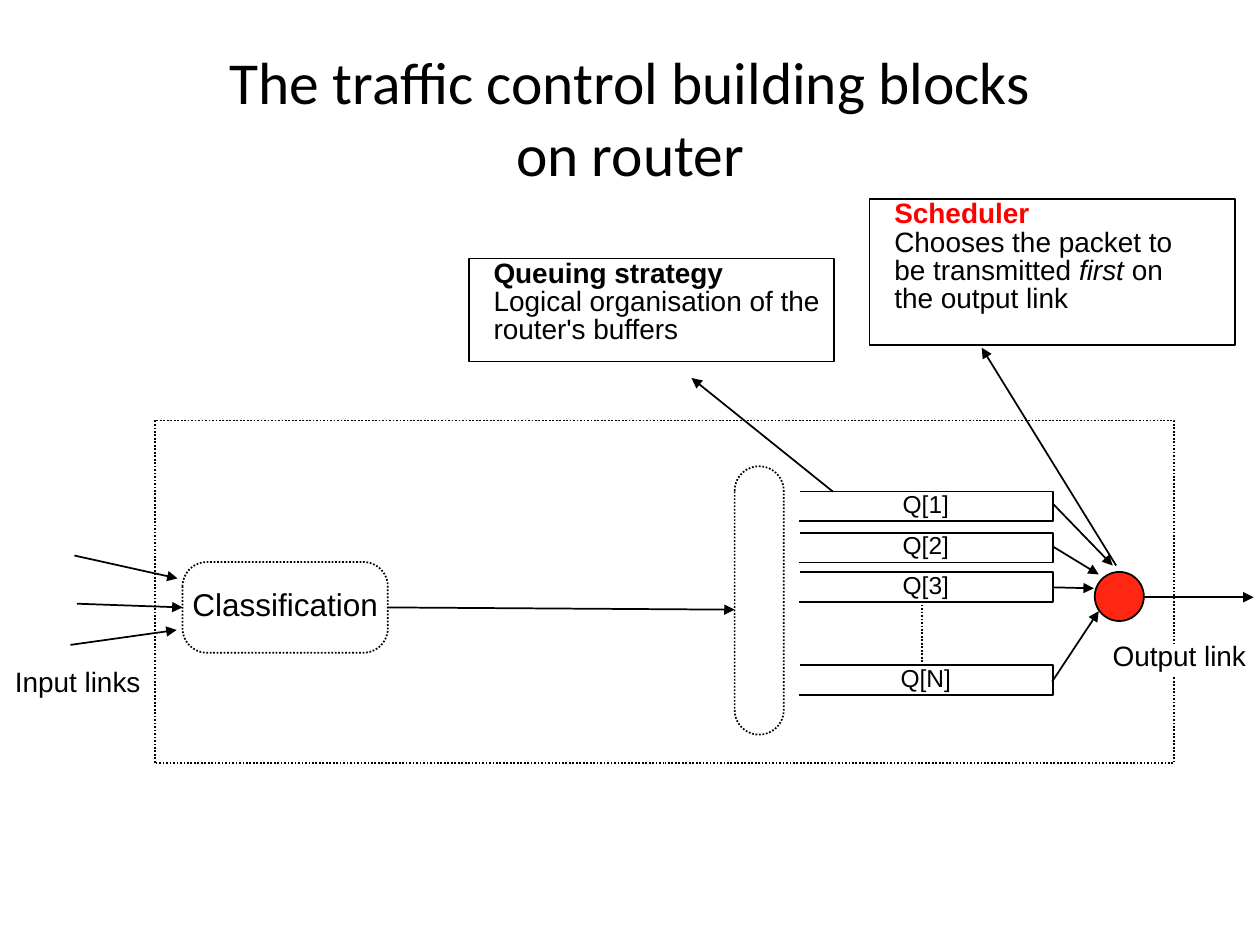
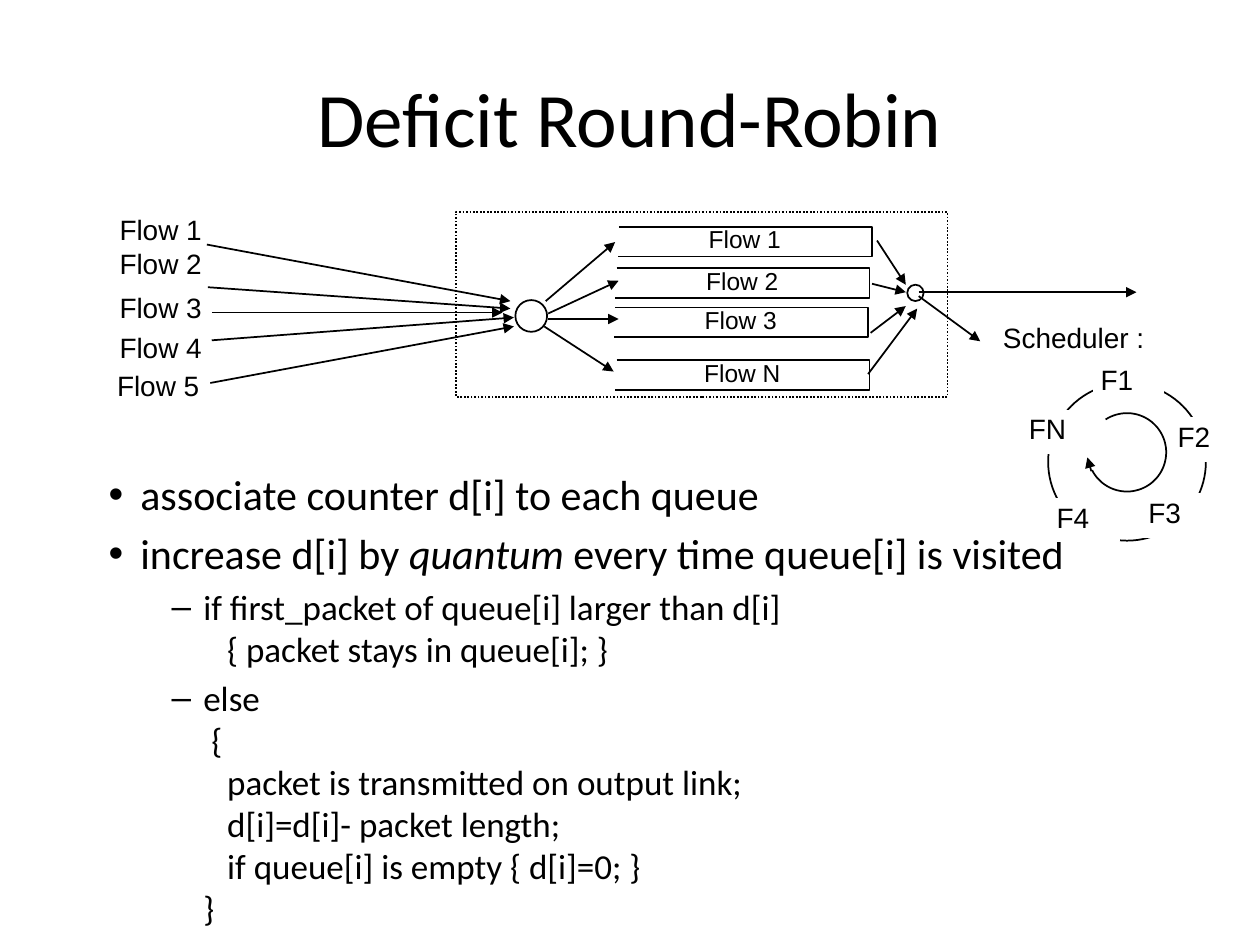
from math import cos, radians, sin

from lxml.etree import SubElement
from pptx import Presentation
from pptx.dml.color import RGBColor
from pptx.enum.dml import MSO_LINE
from pptx.enum.shapes import MSO_CONNECTOR, MSO_SHAPE
from pptx.enum.text import MSO_ANCHOR, PP_ALIGN
from pptx.oxml.ns import qn
from pptx.util import Cm, Pt

# Shared look
BLACK = RGBColor(0x00, 0x00, 0x00)
WHITE = RGBColor(0xFF, 0xFF, 0xFF)
RED = RGBColor(0xFF, 0x00, 0x00)
SCHEDULER_RED = RGBColor(0xFF, 0x27, 0x12)
TITLE_BOX = (1.27, 0.76, 22.86, 3.18)
QUEUE_W, QUEUE_H, QUEUE_SLANT = 5.13, 0.6, 0.03
LABEL_H = 0.66
TAG_W, TAG_H = 1.4, 0.86

TITLE_FONT = {"name": "Calibri", "color": BLACK}
LABEL_FONT = {"name": "Arial", "size": Pt(16), "color": BLACK}
QUEUE_FONT = {**LABEL_FONT, "size": Pt(14)}
BLOCK_FONT = {**LABEL_FONT, "size": Pt(18)}
BOLD, ITALIC = {"bold": True}, {"italic": True}
TIGHT = {"line_spacing": 0.84}
CENTRED = {"line_spacing": 0.84, "alignment": PP_ALIGN.CENTER}

# Slide 1 content, lengths in cm
ROUTER_TITLE = "The traffic control building blocks\von router"
ROUTER_FRAME = (3.12, 8.48, 20.55, 6.91)
CLASSIFICATION = (3.68, 11.33, 4.14, 1.83)
QUEUE_ENTRY = (14.81, 9.4, 0.99, 5.41)
SCHEDULER = (22.07, 11.53, 0.99, 0.99)
ROUTER_QUEUES = [
    ("Q[1]", 16.1, 9.91),
    ("Q[2]", 16.1, 10.74),
    ("Q[3]", 16.1, 11.53),
    ("Q[N]", 16.1, 13.41),
]
MORE_QUEUES = (18.59, 12.19, 18.59, 13.39)
INPUT_LINK = (1.55, 12.17, 3.68, 12.24)
TO_QUEUES = (7.82, 12.24, 14.81, 12.29)
ROUTER_ARROWS = [
    (1.5, 11.2, 3.58, 11.66), (1.42, 13.0, 3.56, 12.7),       # input links
    (21.23, 10.16, 22.43, 11.4), (21.23, 11.02, 22.15, 11.58),  # queues
    (21.23, 11.84, 22.05, 11.86), (21.21, 13.74, 22.15, 12.32),
    (23.06, 12.04, 25.27, 12.04),                             # output link
    (16.79, 9.91, 13.94, 7.62), (22.5, 11.4, 19.79, 7.01),    # callouts
]
CALLOUTS = [
    ((9.45, 5.21, 7.37, 2.08), [
        [("Queuing strategy", BOLD)],
        [("Logical organisation of the", {})],
        [("router's buffers", {})],
    ]),
    ((17.53, 4.01, 7.37, 2.95), [
        [("Scheduler", {"bold": True, "color": RED})],
        [("Chooses the packet to", {})],
        [("be transmitted ", {}), ("first", ITALIC), (" on", {})],
        [("the output link", {})],
    ]),
]
INPUT_LABEL = ("Input links", 0.3, 13.51, 2.57)
OUTPUT_LABEL = ("Output link", 22.43, 12.98, 2.74)

# Slide 2 content, lengths in cm
DRR_TITLE = "Deficit Round-Robin"
DRR_BODY_BOX = (-0.48, 9.32, 23.9, 12.73)
# level, extra indent, bulleted, runs
DRR_BODY = [
    (2, 0, True, [("associate counter d[i] to each queue", {})]),
    (2, 0, True, [("increase d[i] by ", {}), ("quantum", ITALIC),
                  (" every time queue[i] is visited", {})]),
    (3, 0, True, [("if first_packet of queue[i] larger than d[i]", {})]),
    (3, 0.48, False, [("{ packet stays in queue[i]; }", {})]),
    (3, 0, True, [("else", {})]),
    (3, 0.16, False, [("{", {})]),
    (3, 0.48, False, [("packet is transmitted on output link;", {})]),
    (3, 0.48, False, [("d[i]=d[i]- packet length;", {})]),
    (3, 0.48, False, [("if queue[i] is empty { d[i]=0; }", {})]),
    (3, 0, False, [("}", {})]),
]
# level: bullet, size, space before, text indent
BODY_LEVELS = {2: ("•", 24, 5, 3.18), 3: ("–", 20, 4, 4.45)}
BULLET_HANG = 0.64
FLOW_LABELS = [
    ("Flow 1", 2.41, 4.39, 1.7),
    ("Flow 2", 2.41, 5.08, 1.7),
    ("Flow 3", 2.41, 5.97, 1.7),
    ("Flow 4", 2.41, 6.78, 1.7),
    ("Flow 5", 2.36, 7.54, 1.7),
    ("Scheduler :", 20.22, 6.58, 2.9),
]
DRR_FRAME = (9.19, 4.27, 9.91, 3.73)
FLOW_QUEUES = [
    ("Flow 1", 12.45, 4.57),
    ("Flow 2", 12.4, 5.41),
    ("Flow 3", 12.37, 6.2),
    ("Flow N", 12.4, 7.26),
]
DRR_NODES = [(10.39, 6.05, 0.64, 0.64), (18.29, 5.74, 0.33, 0.33)]
DRR_ARROWS = [
    (4.17, 4.93, 10.29, 6.07), (4.19, 5.79, 10.29, 6.22),     # flows
    (4.27, 6.3, 10.13, 6.3), (4.27, 6.86, 10.36, 6.4),
    (4.24, 7.72, 10.36, 6.58),
    (11.0, 6.07, 12.4, 4.88), (11.05, 6.32, 12.47, 5.66),     # into queues
    (11.05, 6.43, 12.47, 6.43), (10.97, 6.58, 12.37, 7.49),
    (17.68, 4.85, 18.26, 5.74), (17.58, 5.72, 18.26, 5.89),   # out of queues
    (17.55, 6.71, 18.26, 6.17), (17.5, 7.54, 18.49, 6.22),
    (18.52, 5.89, 22.91, 5.89), (18.52, 5.97, 19.76, 6.88),   # output
    (22.0, 9.5, 21.92, 9.22),                                 # rotation head
]
ROUND = (21.13, 7.72, 3.18, 3.18)
ROUND_TAGS = [("F1", 22.05, 7.29), ("F2", 23.6, 8.43), ("F3", 23.01, 9.96),
              ("F4", 21.16, 10.06), ("FN", 20.6, 8.28)]
ROTATION_CENTRE, ROTATION_RADIUS = (22.72, 9.12), 0.79
ROTATION_START, ROTATION_END = 153, -123


def set_all(target, values):
    for name, value in values.items():
        if name == "color":
            target.color.rgb = value
        else:
            setattr(target, name, value)


def write(shape, lines, font, para, anchor=MSO_ANCHOR.TOP, wrap=True, inset=(0, 0)):
    """Fill a shape with lines, each a list of (text, font changes)."""
    frame = shape.text_frame
    set_all(frame, {"word_wrap": wrap, "vertical_anchor": anchor,
                    "margin_left": Cm(inset[0]), "margin_top": Cm(inset[1]),
                    "margin_right": 0, "margin_bottom": 0})
    for number, runs in enumerate(lines):
        paragraph = frame.add_paragraph() if number else frame.paragraphs[0]
        set_all(paragraph, {"alignment": PP_ALIGN.LEFT, **para})
        for text, changes in runs:
            if "\v" in text:
                first, second = text.split("\v")
                parts = [first, None, second]
            else:
                parts = [text]
            for part in parts:
                if part is None:
                    paragraph.add_line_break()
                    continue
                run = paragraph.add_run()
                run.text = part
                set_all(run.font, {**font, **changes})


def outline(shape, fill=None, line=BLACK, dotted=False):
    shape.shadow.inherit = False
    if fill is None:
        shape.fill.background()
    else:
        shape.fill.solid()
        shape.fill.fore_color.rgb = fill
    if line is None:
        shape.line.fill.background()
        return shape
    shape.line.color.rgb = line
    shape.line.width = Pt(1)
    if dotted:
        shape.line.dash_style = MSO_LINE.ROUND_DOT
    return shape


def add_block(slide, kind, box, corner=None, **style):
    block = slide.shapes.add_shape(kind, *map(Cm, box))
    if corner is not None:
        block.adjustments[0] = corner
    return outline(block, **style)


def add_path(slide, points):
    points = [(Cm(x), Cm(y)) for x, y in points]
    builder = slide.shapes.build_freeform(*points[0])
    builder.add_line_segments(points[1:], close=False)
    return outline(builder.convert_to_shape())


def add_line(slide, ends, arrow=True):
    line = slide.shapes.add_connector(MSO_CONNECTOR.STRAIGHT, *map(Cm, ends))
    line.line.color.rgb = BLACK
    line.line.width = Pt(1)
    if arrow:
        SubElement(line.line._get_or_add_ln(), qn("a:tailEnd"), type="triangle")
    else:
        line.line.dash_style = MSO_LINE.ROUND_DOT
    SubElement(line._element.spPr, qn("a:effectLst"))
    return line


def add_label(slide, text, left, top, width):
    label = slide.shapes.add_textbox(*map(Cm, (left, top, width, LABEL_H)))
    write(label, [[(text, {})]], LABEL_FONT, TIGHT, wrap=False)
    return label


def add_queues(slide, queues):
    for name, left, top in queues:
        right, bottom = left + QUEUE_W, top + QUEUE_H
        queue = add_path(slide, [(left + QUEUE_SLANT, top), (right, top),
                                 (right, bottom), (left, bottom)])
        write(queue, [[(name, {})]], QUEUE_FONT, CENTRED, MSO_ANCHOR.MIDDLE)


def add_titled_slide(deck, title, size):
    slide = deck.slides.add_slide(deck.slide_layouts[6])
    heading = slide.shapes.add_textbox(*map(Cm, TITLE_BOX))
    write(heading, [[(title, {})]], {**TITLE_FONT, "size": Pt(size)},
          {"alignment": PP_ALIGN.CENTER}, MSO_ANCHOR.MIDDLE)
    return slide


def add_body(slide):
    body = slide.shapes.add_textbox(*map(Cm, DRR_BODY_BOX))
    write(body, [runs for *_, runs in DRR_BODY], TITLE_FONT, {}, inset=(0.13, 0.13))
    for paragraph, (level, extra, bulleted, _) in zip(body.text_frame.paragraphs, DRR_BODY):
        bullet, size, before, indent = BODY_LEVELS[level]
        set_all(paragraph, {"level": level - 1, "space_before": Pt(before if bulleted else 0)})
        for run in paragraph.runs:
            run.font.size = Pt(size)
        properties = paragraph._p.get_or_add_pPr()
        properties.set("marL", str(Cm(indent + extra)))
        properties.set("indent", str(-Cm(BULLET_HANG) if bulleted else 0))
        if bulleted:
            SubElement(properties, qn("a:buFont"), typeface="Arial")
            SubElement(properties, qn("a:buChar"), char=bullet)
        else:
            SubElement(properties, qn("a:buNone"))


def build_router(deck):
    slide = add_titled_slide(deck, ROUTER_TITLE, 34)
    # Router and its blocks
    add_block(slide, MSO_SHAPE.RECTANGLE, ROUTER_FRAME, dotted=True)
    add_queues(slide, ROUTER_QUEUES)
    classification = add_block(slide, MSO_SHAPE.ROUNDED_RECTANGLE, CLASSIFICATION,
                               0.27, dotted=True)
    write(classification, [[("Classification", {})]], BLOCK_FONT, CENTRED, MSO_ANCHOR.MIDDLE)
    add_block(slide, MSO_SHAPE.ROUNDED_RECTANGLE, QUEUE_ENTRY, 0.5, dotted=True)
    add_block(slide, MSO_SHAPE.OVAL, SCHEDULER, fill=SCHEDULER_RED)
    # Links
    add_line(slide, MORE_QUEUES, arrow=False)
    add_line(slide, INPUT_LINK).end_connect(classification, 1)
    add_line(slide, TO_QUEUES).begin_connect(classification, 3)
    for ends in ROUTER_ARROWS:
        add_line(slide, ends)
    # Labels and callouts
    add_label(slide, *INPUT_LABEL)
    outline(add_label(slide, *OUTPUT_LABEL), fill=WHITE, line=None)
    for box, lines in CALLOUTS:
        callout = add_block(slide, MSO_SHAPE.RECTANGLE, box)
        write(callout, lines, LABEL_FONT, TIGHT, inset=(0.5, 0.05))


def build_round_robin(deck):
    slide = add_titled_slide(deck, DRR_TITLE, 44)
    add_body(slide)
    # Flows, queues and nodes
    for label in FLOW_LABELS:
        add_label(slide, *label)
    add_block(slide, MSO_SHAPE.RECTANGLE, DRR_FRAME, dotted=True)
    add_queues(slide, FLOW_QUEUES)
    for node in DRR_NODES:
        add_block(slide, MSO_SHAPE.OVAL, node)
    # Scheduler round
    add_block(slide, MSO_SHAPE.OVAL, ROUND)
    for name, left, top in ROUND_TAGS:
        tag = add_block(slide, MSO_SHAPE.RECTANGLE, (left, top, TAG_W, TAG_H),
                        fill=WHITE, line=WHITE)
        write(tag, [[(name, {})]], LABEL_FONT, TIGHT, inset=(0.14, 0.13))
    centre_x, centre_y = ROTATION_CENTRE
    add_path(slide, [(centre_x + ROTATION_RADIUS * cos(radians(angle)),
                      centre_y + ROTATION_RADIUS * sin(radians(angle)))
                     for angle in range(ROTATION_START, ROTATION_END - 1, -4)])
    for ends in DRR_ARROWS:
        add_line(slide, ends)


def main():
    deck = Presentation()
    deck.slide_width, deck.slide_height = Cm(25.4), Cm(19.05)
    build_router(deck)
    build_round_robin(deck)
    deck.save("out.pptx")


if __name__ == "__main__":
    main()
